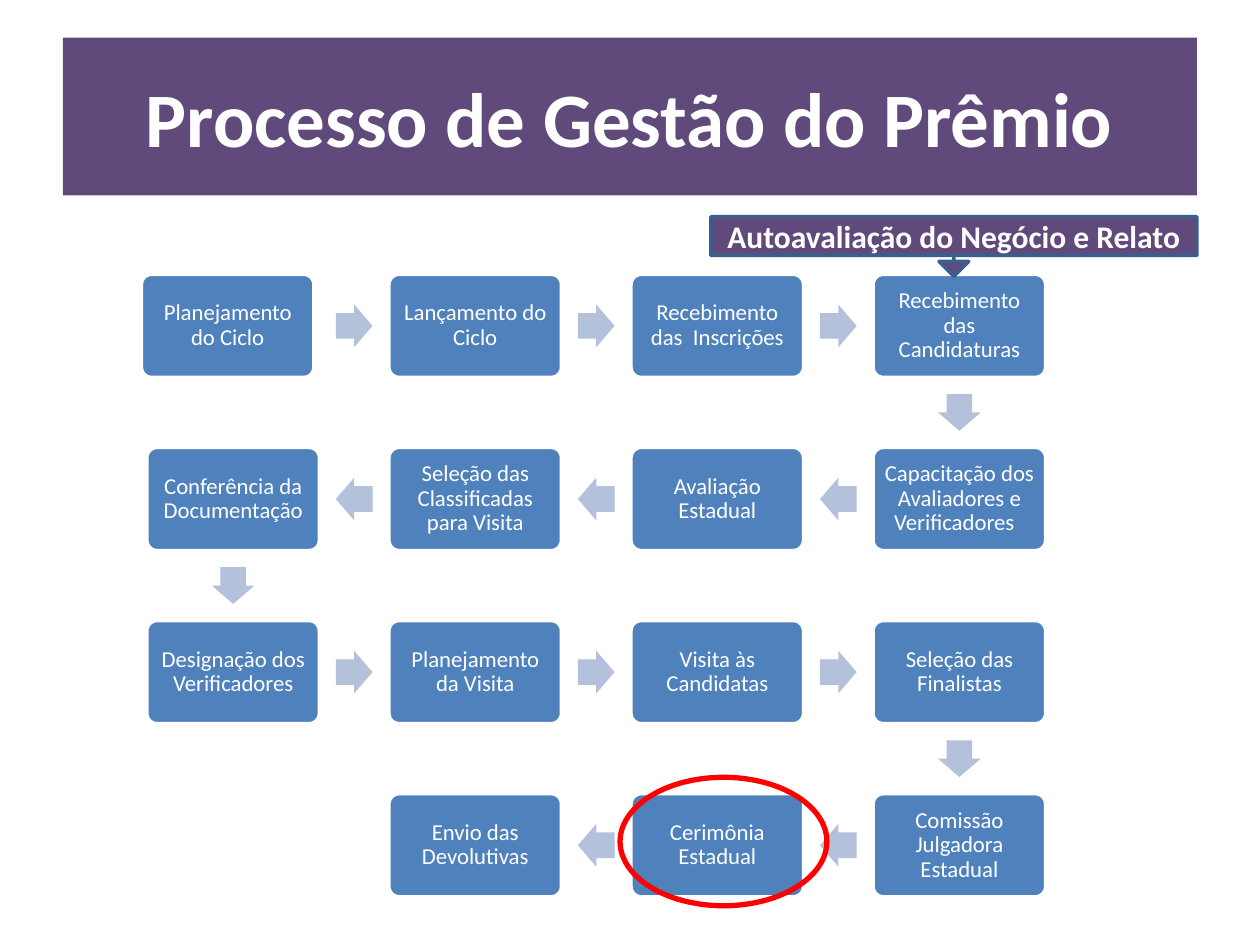
from itertools import pairwise

from pptx import Presentation
from pptx.dml.color import RGBColor
from pptx.enum.shapes import MSO_SHAPE
from pptx.enum.text import MSO_ANCHOR, PP_ALIGN
from pptx.util import Cm, Pt

TITLE = "Processo de Gestão do Prêmio"
CALLOUT = "Autoavaliação do Negócio e Relato"
# Steps in order of the process: (column, row, label)
STEPS = [
    (0, 0, "Planejamento do Ciclo"),
    (1, 0, "Lançamento do Ciclo"),
    (2, 0, "Recebimento das  Inscrições"),
    (3, 0, "Recebimento das Candidaturas"),
    (3, 1, "Capacitação dos Avaliadores e Verificadores  "),
    (2, 1, "Avaliação Estadual"),
    (1, 1, "Seleção das Classificadas para Visita"),
    (0, 1, "Conferência da Documentação"),
    (0, 2, "Designação dos Verificadores"),
    (1, 2, "Planejamento da Visita"),
    (2, 2, "Visita às Candidatas"),
    (3, 2, "Seleção das Finalistas"),
    (3, 3, "Comissão Julgadora Estadual"),
    (2, 3, "Cerimônia Estadual"),
    (1, 3, "Envio das Devolutivas"),
]

PURPLE, BLUE, PALE_BLUE = "604A7B", "4F81BD", "B3C1DB"
DARK_BLUE, RED, WHITE = "3A5F8C", "FF0000", "FFFFFF"

# Lengths in centimetres
GRID_LEFT, GRID_TOP = 2.96, 5.53
COLUMN_PITCH, ROW_PITCH = 4.88, 3.49
STEP_WIDTH, STEP_HEIGHT = 3.48, 2.08
FIRST_STEP_SHIFT = -0.11
ARROW_LENGTH, ARROW_WIDTH = 0.74, 0.86


def color(value):
    return RGBColor.from_string(value)


def add_shape(kind, left, top, width, height, fill=None, line=None, weight=2, adjust=()):
    shape = page.shapes.add_shape(kind, Cm(left), Cm(top), Cm(width), Cm(height))
    shape.shadow.inherit = False
    for index, value in enumerate(adjust):
        shape.adjustments[index] = value
    if fill:
        shape.fill.solid()
        shape.fill.fore_color.rgb = color(fill)
    else:
        shape.fill.background()
    if line:
        shape.line.color.rgb = color(line)
        shape.line.width = Pt(weight)
    else:
        shape.line.fill.background()
    return shape


def write(shape, text, size, bold=False):
    frame = shape.text_frame
    frame.text = text
    frame.word_wrap = True
    frame.vertical_anchor = MSO_ANCHOR.MIDDLE
    para = frame.paragraphs[0]
    para.alignment = PP_ALIGN.CENTER
    for span in para.runs:
        span.font.name = "Calibri"
        span.font.size = Pt(size)
        span.font.bold = bold
        span.font.color.rgb = color(WHITE)
    return frame


def step_center(column, row):
    return (GRID_LEFT + column * COLUMN_PITCH + STEP_WIDTH / 2,
            GRID_TOP + row * ROW_PITCH + STEP_HEIGHT / 2)


def add_step(column, row, label):
    x, y = step_center(column, row)
    if (column, row) == (0, 0):
        x += FIRST_STEP_SHIFT
    box = add_shape(MSO_SHAPE.ROUNDED_RECTANGLE, x - STEP_WIDTH / 2, y - STEP_HEIGHT / 2,
                    STEP_WIDTH, STEP_HEIGHT, BLUE, WHITE, adjust=[0.1])
    frame = write(box, label, 13)
    frame.margin_left = frame.margin_right = Cm(0.12)
    frame.margin_top = frame.margin_bottom = Cm(0.12)
    frame.paragraphs[0].line_spacing = 0.9


def add_arrow(start, end):
    """Put an arrow halfway between two neighbouring steps, turned to the second."""
    (x1, y1), (x2, y2) = step_center(*start[:2]), step_center(*end[:2])
    arrow = add_shape(MSO_SHAPE.RIGHT_ARROW, (x1 + x2 - ARROW_LENGTH) / 2,
                      (y1 + y2 - ARROW_WIDTH) / 2, ARROW_LENGTH, ARROW_WIDTH,
                      PALE_BLUE, adjust=[0.6, 0.5])
    if start[1] != end[1]:
        arrow.rotation = 90
    elif end[0] < start[0]:
        arrow.rotation = 180


deck = Presentation()
deck.slide_width, deck.slide_height = Cm(25.4), Cm(19.05)
page = deck.slides.add_slide(deck.slide_layouts[6])

banner = add_shape(MSO_SHAPE.RECTANGLE, 1.27, 0.76, 22.86, 3.18, PURPLE)
write(banner, TITLE, 44, bold=True)

for step in STEPS:
    add_step(*step)
for start, end in pairwise(STEPS):
    add_arrow(start, end)

callout = add_shape(MSO_SHAPE.DOWN_ARROW_CALLOUT, 14.33, 4.37, 9.8, 1.2, PURPLE,
                    DARK_BLUE, adjust=[0, 0.25, 0.25, 0.65])
write(callout, CALLOUT, 18, bold=True)

add_shape(MSO_SHAPE.OVAL, 12.5, 15.67, 4.17, 2.59, line=RED, weight=3)

deck.save("out.pptx")
